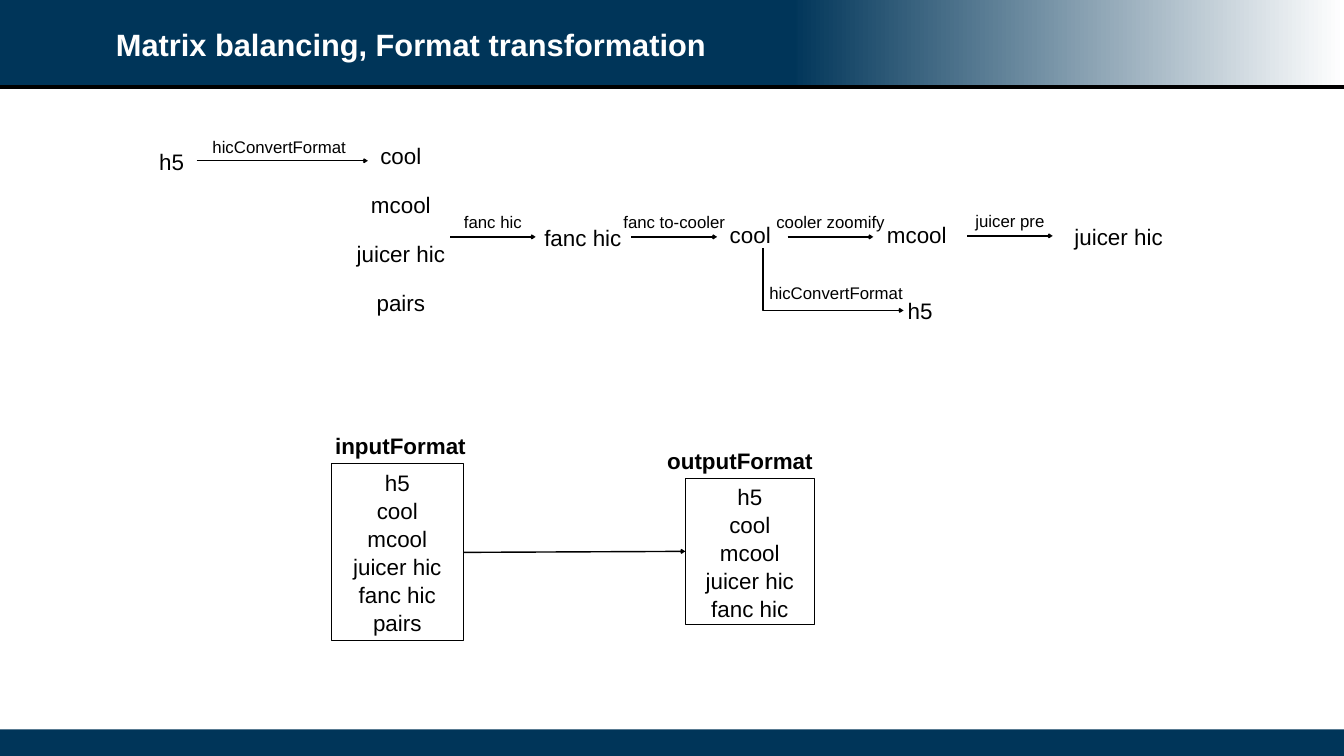
from dataclasses import dataclass

from lxml import etree
from pptx import Presentation
from pptx.dml.color import RGBColor
from pptx.enum.shapes import MSO_CONNECTOR, MSO_SHAPE
from pptx.enum.text import MSO_ANCHOR, PP_ALIGN
from pptx.oxml.ns import qn
from pptx.util import Inches, Pt

RECT = MSO_SHAPE.RECTANGLE
LINE, ELBOW = MSO_CONNECTOR.STRAIGHT, MSO_CONNECTOR.ELBOW
TOP, MIDDLE = MSO_ANCHOR.TOP, MSO_ANCHOR.MIDDLE
LEFT, CENTER = PP_ALIGN.LEFT, PP_ALIGN.CENTER


@dataclass(frozen=True)
class Theme:
    navy: RGBColor = RGBColor(0x00, 0x35, 0x59)
    black: RGBColor = RGBColor(0, 0, 0)
    white: RGBColor = RGBColor(0xFF, 0xFF, 0xFF)
    font: str = "Arial"
    title: int = 44
    body: int = 32
    note: int = 24
    gap: int = 30
    lead: float = 1.04
    inset: float = 0.08


@dataclass(frozen=True)
class Box:
    x: float
    y: float
    w: float
    h: float


@dataclass(frozen=True)
class Label:
    box: Box
    lines: tuple[str, ...]
    align: PP_ALIGN = LEFT
    bold: bool = False


@dataclass(frozen=True)
class Step:
    x: float
    y: float
    text: str


THEME = Theme()
WIDTH, HEIGHT = 26.67, 15
REACH = 1.7
NOTE_W, NOTE_H = 2.9, 0.59
FORMATS = ("h5", "cool", "mcool", "juicer hic", "fanc hic")

LABELS = (
    Label(Box(3.08, 2.81, 0.82, 0.76), ("h5",)),
    Label(Box(6.99, 2.88, 1.93, 3.3), ("cool", "mcool", "juicer hic", "pairs"), CENTER),
    Label(Box(10.72, 4.35, 2.08, 0.7), ("fanc hic",)),
    Label(Box(14.4, 4.35, 1.48, 0.57), ("cool",)),
    Label(Box(17.52, 4.35, 1.48, 0.57), ("mcool",)),
    Label(Box(21.24, 4.33, 2.3, 0.72), ("juicer hic",)),
    Label(Box(17.93, 5.78, 0.82, 0.76), ("h5",)),
    Label(Box(6.57, 8.45, 3.09, 0.76), ("inputFormat",), bold=True),
    Label(Box(13.16, 8.74, 3.5, 0.76), ("outputFormat",), bold=True),
)
STEPS = (
    Step(8.93, 4.7, "fanc hic"),
    Step(12.53, 4.7, "fanc to-cooler"),
    Step(15.63, 4.7, "cooler zoomify"),
    Step(19.19, 4.68, "juicer pre"),
)
LISTS = (
    Label(Box(6.57, 9.2, 2.63, 3.51), FORMATS + ("pairs",), CENTER),
    Label(Box(13.6, 9.5, 2.56, 2.89), FORMATS, CENTER),
)


def place(box: Box) -> tuple:
    return Inches(box.x), Inches(box.y), Inches(box.w), Inches(box.h)


def write(shape, lines: tuple[str, ...], size: int, color: RGBColor, align: PP_ALIGN = LEFT,
          anchor: MSO_ANCHOR = MIDDLE, bold: bool = False, gap: int = 0) -> None:
    frame = shape.text_frame
    frame.word_wrap = True
    frame.vertical_anchor = anchor
    frame.margin_left = frame.margin_right = Inches(THEME.inset)
    frame.margin_top = frame.margin_bottom = Inches(THEME.inset)
    for i, line in enumerate(lines):
        para = frame.add_paragraph() if i else frame.paragraphs[0]
        para.text = line
        para.alignment = align
        para.line_spacing = THEME.lead
        para.space_before = Pt(gap if i else 0)
        font = para.font
        font.name, font.size, font.bold = THEME.font, Pt(size), bold
        font.color.rgb = color


def add_band(slide, box: Box):
    band = slide.shapes.add_shape(RECT, *place(box))
    band.shadow.inherit = False
    band.line.fill.background()
    band.fill.solid()
    band.fill.fore_color.rgb = THEME.navy
    return band


def add_fade(slide, box: Box) -> None:
    fill = add_band(slide, box).fill
    fill.gradient()
    fill.gradient_angle = 180
    for stop, color in zip(fill.gradient_stops, (THEME.white, THEME.navy)):
        stop.color.rgb = color


def add_line(slide, x1: float, y1: float, x2: float, y2: float, width: int = 2,
             kind: MSO_CONNECTOR = LINE, arrow: bool = True):
    line = slide.shapes.add_connector(kind, Inches(x1), Inches(y1), Inches(x2), Inches(y2))
    line.line.color.rgb = THEME.black
    line.line.width = Pt(width)
    props = line._element.spPr
    etree.SubElement(props, qn("a:effectLst"))
    if arrow:
        etree.SubElement(props.find(qn("a:ln")), qn("a:tailEnd"), type="arrow")
    return line


def add_bend(slide, x1: float, y1: float, x2: float, y2: float) -> None:
    mid_x, mid_y = (x1 + x2) / 2, (y1 + y2) / 2
    half_w, half_h = (y2 - y1) / 2, (x2 - x1) / 2
    line = add_line(slide, mid_x - half_w, mid_y + half_h,
                    mid_x + half_w, mid_y - half_h, kind=ELBOW)
    props = line._element.spPr
    props.find(qn("a:xfrm")).set("rot", "5400000")
    props.find(qn("a:prstGeom")).set("prst", "bentConnector2")


def add_note(slide, x: float, y: float, text: str) -> None:
    box = slide.shapes.add_textbox(*place(Box(x, y, NOTE_W, NOTE_H)))
    write(box, (text,), THEME.note, THEME.black, CENTER, TOP)


def add_label(slide, label: Label) -> None:
    box = slide.shapes.add_textbox(*place(label.box))
    write(box, label.lines, THEME.body, THEME.black, label.align,
          bold=label.bold, gap=THEME.gap)


def add_step(slide, step: Step) -> None:
    add_line(slide, step.x, step.y, step.x + REACH, step.y)
    add_note(slide, step.x + (REACH - NOTE_W) / 2, step.y - NOTE_H, step.text)


def add_list(slide, label: Label) -> None:
    box = slide.shapes.add_shape(RECT, *place(label.box))
    box.shadow.inherit = False
    box.fill.background()
    box.line.color.rgb = THEME.black
    box.line.width = Pt(1)
    write(box, label.lines, THEME.body, THEME.black, label.align)


def main() -> None:
    deck = Presentation()
    deck.slide_width, deck.slide_height = Inches(WIDTH), Inches(HEIGHT)
    slide = deck.slides.add_slide(deck.slide_layouts[6])

    add_fade(slide, Box(15.67, 0, 11, 1.72))
    add_band(slide, Box(0, 0, 15.8, 1.72))
    add_line(slide, 0, 1.73, WIDTH, 1.73, width=5, arrow=False)
    add_band(slide, Box(0, 14.47, WIDTH, 0.53))
    title = slide.shapes.add_textbox(*place(Box(2.22, 0, 22.22, 1.72)))
    write(title, ("Matrix balancing, Format transformation",), THEME.title, THEME.white, bold=True)

    for label in LABELS:
        add_label(slide, label)
    for step in STEPS:
        add_step(slide, step)
    add_line(slide, 3.9, 3.19, 7.3, 3.19)
    add_note(slide, 4.09, 2.62, "hicConvertFormat")
    add_bend(slide, 15.14, 4.93, 17.93, 6.16)
    add_note(slide, 15.14, 5.51, "hicConvertFormat")

    for label in LISTS:
        add_list(slide, label)
    add_line(slide, 9.2, 10.96, 13.6, 10.94)
    deck.save("out.pptx")


if __name__ == "__main__":
    main()
